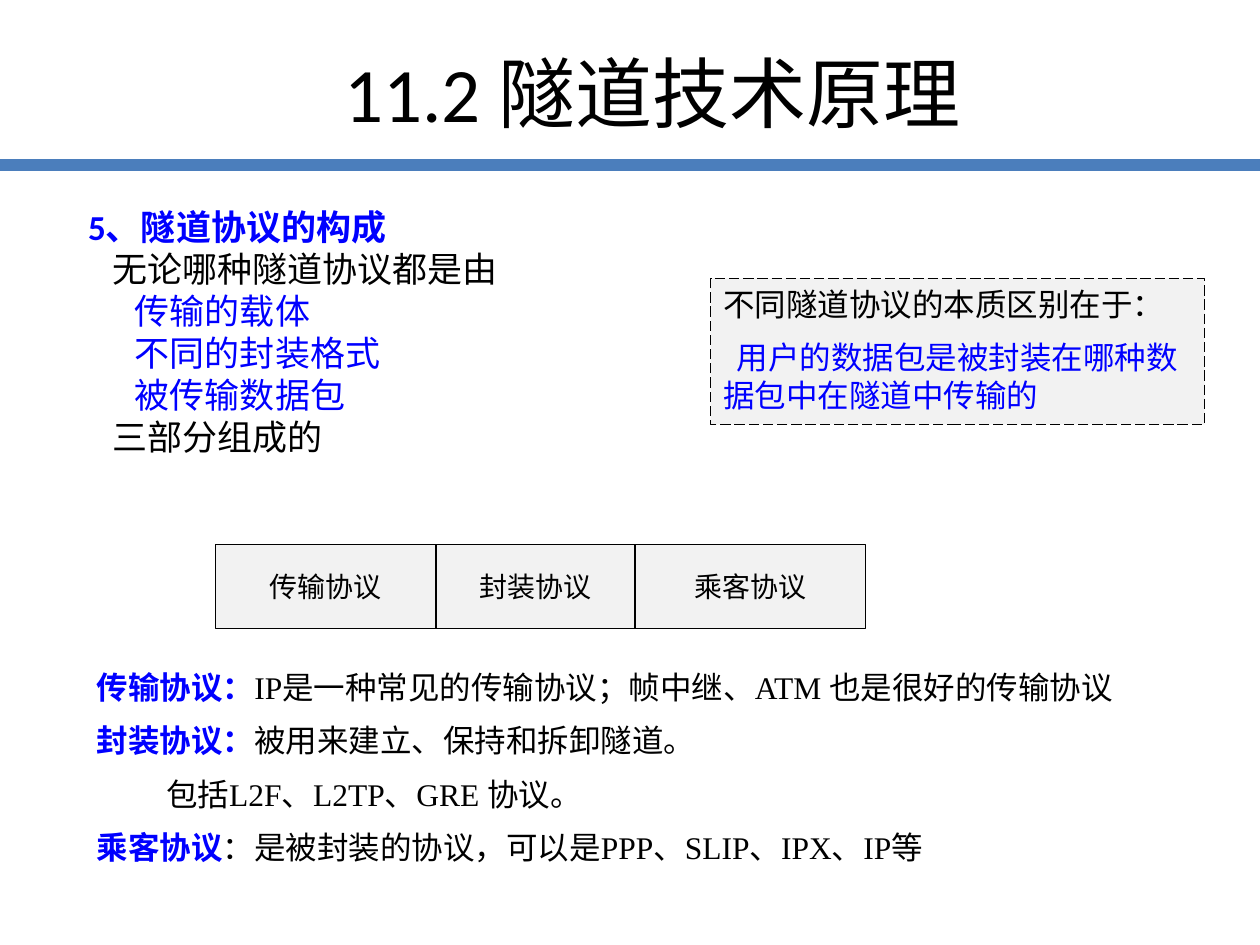
from pptx import Presentation
from pptx.dml.color import RGBColor
from pptx.enum import dml, shapes, text
from pptx.oxml import ns, xmlchemy
from pptx.util import Inches, Pt


class Theme:
    black, blue, bar, fill = "000000", "0000FF", "4B7EBC", "F2F2F2"
    sans, serif, cjk = "Calibri", "Times New Roman", "Noto Sans CJK SC"
    title, body, note, cell = 44, 20, 18, 16


TITLE = "11.2 隧道技术原理"
# text, left indent, color, bold
POINTS = [
    ("5、隧道协议的构成", 0.06, Theme.blue, True),
    ("无论哪种隧道协议都是由", 0.25, Theme.black, False),
    ("传输的载体", 0.43, Theme.blue, False),
    ("不同的封装格式", 0.43, Theme.blue, False),
    ("被传输数据包", 0.43, Theme.blue, False),
    ("三部分组成的", 0.25, Theme.black, False),
]
CALLOUT = [
    ("不同隧道协议的本质区别在于：", 0, Theme.black),
    ("用户的数据包是被封装在哪种数据包中在隧道中传输的", 0.11, Theme.blue),
]
CELLS = [("传输协议", 1.75), ("封装协议", 1.58), ("乘客协议", 1.83)]
# term, explanation, left indent
NOTES = [
    ("传输协议：", "IP是一种常见的传输协议；帧中继、ATM 也是很好的传输协议", 0),
    ("封装协议：", "被用来建立、保持和拆卸隧道。", 0),
    ("", "包括L2F、L2TP、GRE 协议。", 0.55),
    ("乘客协议", "：是被封装的协议，可以是PPP、SLIP、IPX、IP等", 0),
]


def rgb(code):
    return RGBColor.from_string(code)


def place(shape, left, top, width, height):
    shape.left, shape.top = Inches(left), Inches(top)
    shape.width, shape.height = Inches(width), Inches(height)


def write(para, words, size, color=Theme.black, bold=False, face=Theme.sans):
    run = para.add_run()
    run.text = words
    font = run.font
    font.size, font.bold, font.name = Pt(size), bold, face
    font.color.rgb = rgb(color)
    east = xmlchemy.OxmlElement("a:ea")
    east.set("typeface", Theme.cjk)
    run._r.rPr.find(ns.qn("a:latin")).addnext(east)


def start(frame, index, size, left=0, first=0, before=0,
          align=text.PP_ALIGN.LEFT):
    """Return paragraph number index, made ready for runs."""
    para = frame.add_paragraph() if index else frame.paragraphs[0]
    props = para._p.get_or_add_pPr()
    props.set("marL", str(Inches(left)))
    props.set("indent", str(Inches(first)))
    para.alignment = align
    para.line_spacing = Pt(size * 1.2)
    para.space_before = Pt(before if index else 0)
    props.append(xmlchemy.OxmlElement("a:buNone"))
    return para


def box(parent, left, top, width, height):
    shape = parent.add_shape(shapes.MSO_SHAPE.RECTANGLE, Inches(left),
                             Inches(top), Inches(width), Inches(height))
    shape.shadow.inherit = False
    shape.fill.solid()
    shape.fill.fore_color.rgb = rgb(Theme.fill)
    shape.line.color.rgb = rgb(Theme.black)
    shape.line.width = Pt(0.75)
    return shape


def add_bar(slide):
    bar = slide.shapes.add_connector(shapes.MSO_CONNECTOR.STRAIGHT, 0,
                                     Inches(1.31), Inches(10), Inches(1.31))
    bar.line.color.rgb = rgb(Theme.bar)
    bar.line.width = Pt(7)
    bar._element.spPr.append(xmlchemy.OxmlElement("a:effectLst"))


def add_heads(slide):
    title, body = slide.placeholders
    place(title, 0.92, 0.23, 8.52, 0.99)
    title.text_frame.vertical_anchor = text.MSO_ANCHOR.MIDDLE
    para = title.text_frame.paragraphs[0]
    para.alignment = text.PP_ALIGN.CENTER
    write(para, TITLE, Theme.title)
    place(body, 0.54, 1.58, 4.67, 2.08)
    body.text_frame.auto_size = text.MSO_AUTO_SIZE.NONE
    for i, (words, left, color, bold) in enumerate(POINTS):
        para = start(body.text_frame, i, Theme.body, left=left,
                     align=text.PP_ALIGN.JUSTIFY)
        write(para, words, Theme.body, color=color, bold=bold)


def add_cells(slide):
    group = slide.shapes.add_group_shape()
    left = 1.71
    for words, width in CELLS:
        frame = box(group.shapes, left, 4.32, width, 0.67).text_frame
        frame.word_wrap = False
        frame.vertical_anchor = text.MSO_ANCHOR.MIDDLE
        para = start(frame, 0, Theme.cell, align=text.PP_ALIGN.CENTER)
        write(para, words, Theme.cell, face="Lato")
        left += width


def add_notes(slide):
    frame = slide.shapes.add_textbox(Inches(0.67), Inches(5.25),
                                     Inches(9.08), Inches(1.76)).text_frame
    frame.word_wrap = True
    for i, (term, words, left) in enumerate(NOTES):
        para = start(frame, i, Theme.note, left=left, before=Theme.note / 2)
        if term:
            write(para, term, Theme.note, color=Theme.blue, bold=True,
                  face=Theme.serif)
        write(para, words, Theme.note, face=Theme.serif)


def add_callout(slide):
    shape = box(slide.shapes, 5.64, 2.21, 3.92, 1.16)
    shape.line.dash_style = dml.MSO_LINE.LONG_DASH
    frame = shape.text_frame
    frame.word_wrap = True
    frame.vertical_anchor = text.MSO_ANCHOR.TOP
    for i, (words, first, color) in enumerate(CALLOUT):
        para = start(frame, i, Theme.note, first=first, before=Theme.note / 2)
        write(para, words, Theme.note, color=color)


def main():
    deck = Presentation()
    deck.slide_width, deck.slide_height = Inches(10), Inches(7.5)
    slide = deck.slides.add_slide(deck.slide_layouts[1])
    for add in (add_bar, add_heads, add_cells, add_notes, add_callout):
        add(slide)
    deck.save("out.pptx")


if __name__ == "__main__":
    main()
